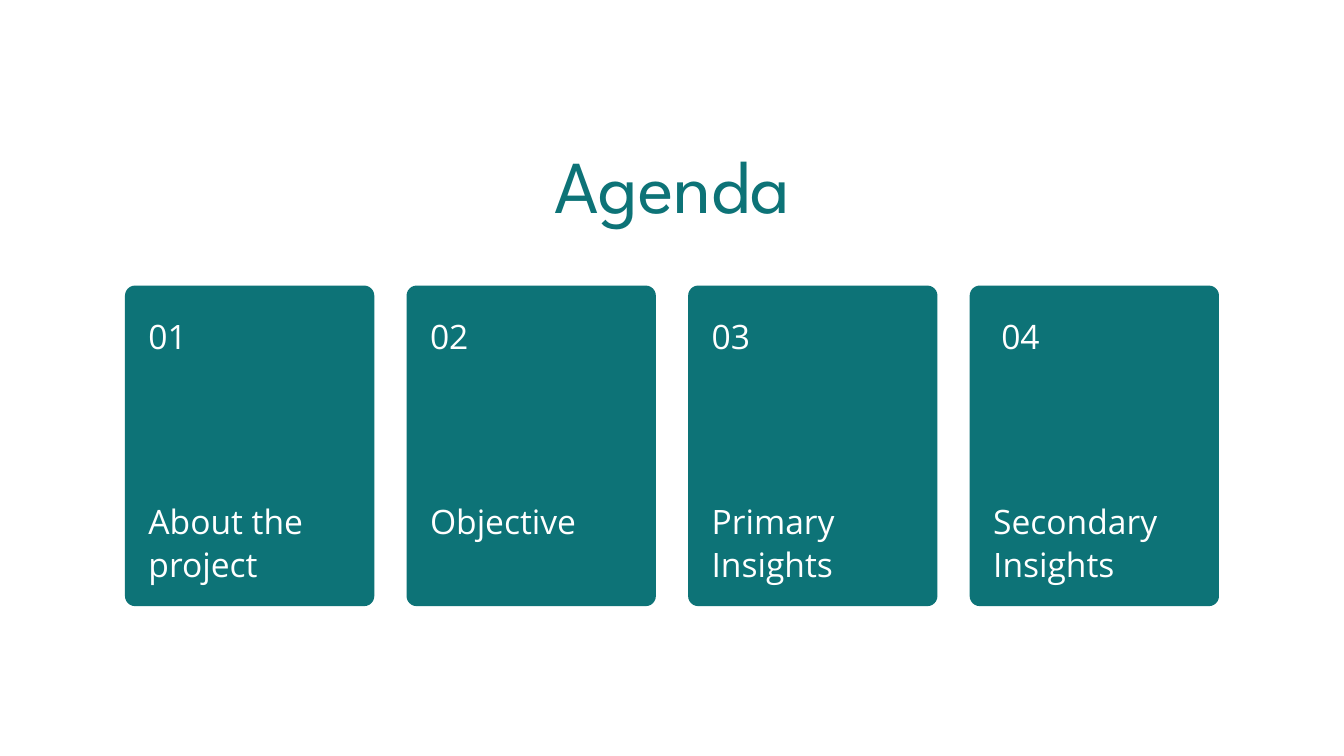
from pptx import Presentation
from pptx import util as u
from pptx.dml.color import RGBColor
from pptx.enum import shapes, text

WIDTH, HEIGHT = 20, 11.25
TEAL, WHITE = "0D7377", "FFFFFF"
MARGIN, CARD_TOP, CARD_WIDTH, CARD_HEIGHT = 1.86, 4.25, 3.71, 4.77
CORNER, PADDING = 0.15, 0.35
TOPICS = [
    ("01", "About the project", 0),
    ("02", "Objective", 0),
    ("03", "Primary Insights", 0),
    ("04", "Secondary Insights", 0.12),
]


def color(value):
    """Turn a hex string into a colour."""
    return RGBColor.from_string(value)


def write(frame, words, font, size, ink, leading, align):
    """Fill a text frame with one run on a fixed line height."""
    frame.margin_left = frame.margin_right = 0
    frame.margin_top = frame.margin_bottom = 0
    frame.word_wrap = True
    frame.auto_size = text.MSO_AUTO_SIZE.NONE
    frame.vertical_anchor = text.MSO_ANCHOR.TOP
    line = frame.paragraphs[0]
    line.alignment = align
    line.line_spacing = u.Pt(leading)
    run = line.add_run()
    run.text = words
    run.font.name = font
    run.font.size = u.Pt(size)
    run.font.color.rgb = color(ink)


def add_title(slide, words):
    """Place the centred slide title."""
    title = slide.shapes.title
    title.width, title.height = u.Inches(11.88), u.Inches(1.34)
    title.left, title.top = u.Inches((WIDTH - 11.88) / 2), u.Inches(2.07)
    write(title.text_frame, words, "League Spartan", 80, TEAL, 96, text.PP_ALIGN.CENTER)


def add_card(slide, left):
    """Draw one rounded agenda card."""
    card = slide.shapes.add_shape(
        shapes.MSO_SHAPE.ROUNDED_RECTANGLE,
        u.Inches(left), u.Inches(CARD_TOP), u.Inches(CARD_WIDTH), u.Inches(CARD_HEIGHT),
    )
    card.adjustments[0] = CORNER / CARD_WIDTH
    card.shadow.inherit = False
    card.fill.solid()
    card.fill.fore_color.rgb = color(TEAL)
    card.line.fill.background()


def add_label(slide, words, left, top, width, height, leading):
    """Add white card text."""
    label = slide.shapes.add_textbox(
        u.Inches(left), u.Inches(top), u.Inches(width), u.Inches(height)
    )
    write(label.text_frame, words, "Open Sans", 36, WHITE, leading, text.PP_ALIGN.LEFT)


def main():
    """Build the agenda slide."""
    deck = Presentation()
    deck.slide_width, deck.slide_height = u.Inches(WIDTH), u.Inches(HEIGHT)
    slide = deck.slides.add_slide(deck.slide_layouts[5])
    add_title(slide, "Agenda")
    pitch = (WIDTH - 2 * MARGIN - CARD_WIDTH) / (len(TOPICS) - 1)
    for column, (number, topic, shift) in enumerate(TOPICS):
        left = MARGIN + column * pitch
        add_card(slide, left)
        add_label(slide, topic, left + PADDING, 7.4, 2.97, 1.27, 46.8)
        add_label(slide, number, left + PADDING + shift, 4.51, 0.8, 0.73, 56.5)
    deck.save("out.pptx")


if __name__ == "__main__":
    main()
